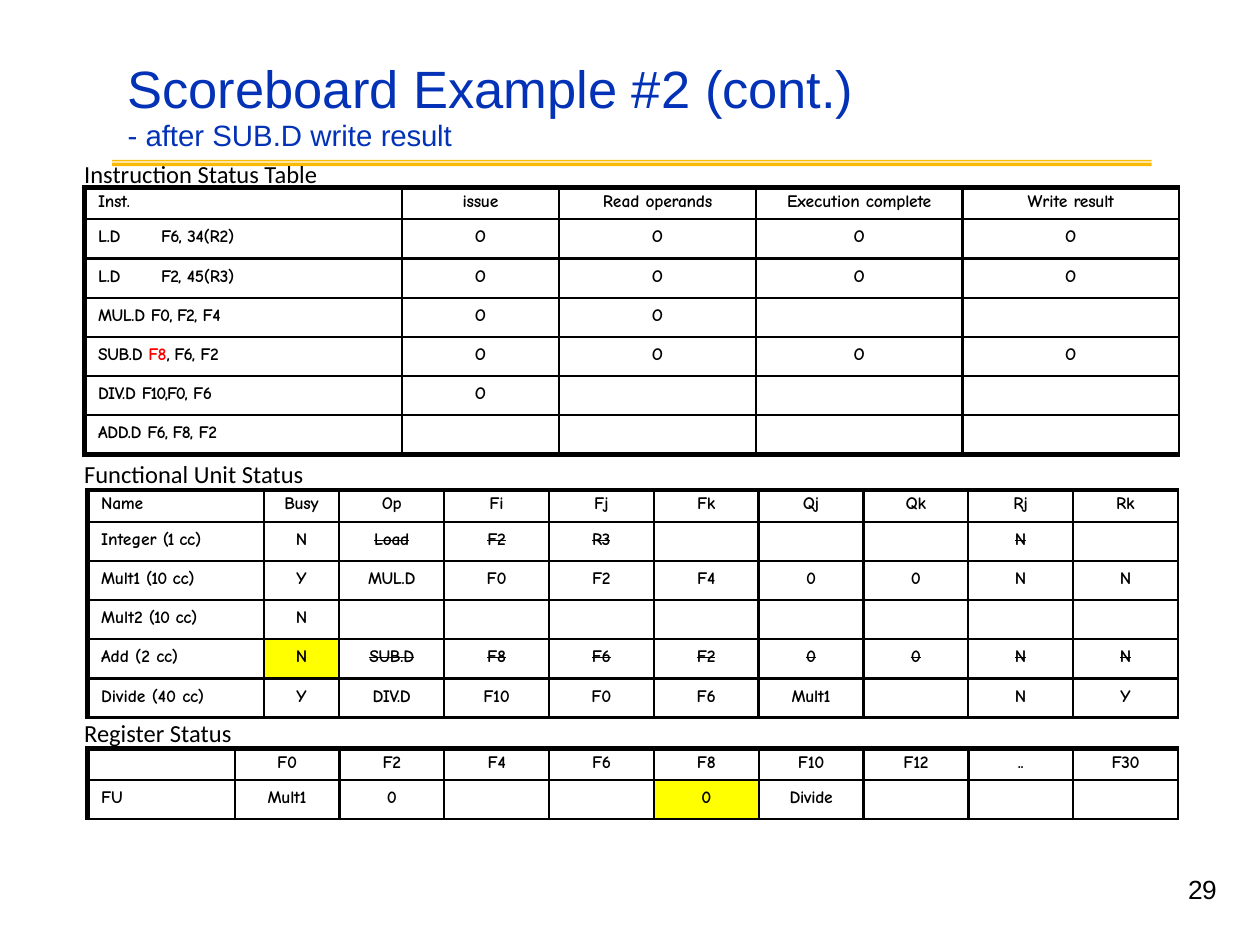
"""Build a slide with the three scoreboard tables after SUB.D writes its result."""
from lxml import etree
from pptx import Presentation, util as u
from pptx.dml.color import RGBColor
from pptx.enum import text as t
from pptx.oxml import ns

COLORS = {"ink": "000000", "title": "0332B7", "rule": "FBBA03", "mark": "FFFF00", "alert": "FF0000"}
THIN, THICK = 1.5, 3
HEADER_HEIGHT, ROW_HEIGHT = 18, 22.4
HEADER_INSET, ROW_INSET = 2.2, 4.5
UNIT_WIDTH = 59.9

TITLE = [
    ([("Scoreboard Example #2 ", 0), ("(cont.)", -0.1)], 30, 35.2),
    ([("- after SUB.D write ", 0), ("result", -0.1)], 16.8, 19.3),
]
LABELS = [
    ("Instruction Status Table", 87.1, 173),
    ("Functional Unit Status", 258.5, 153),
    ("Register Status", 406.8, 99),
]
RULE_BARS = [(92.9, 95), (91.4, 92.2)]
RULE_LEFT, RULE_RIGHT = 64, 658

TABLES = [
    {
        "left": 48.2, "top": 107.3, "bottom": THICK,
        "widths": [181.4, 90, 112.3, 118.1, 123.8],
        "rows": [
            ["Inst.", "issue", [("Read ", 0), ("operands", -0.1)],
             [("Execution ", 0), ("complete", -0.1)], [("Write ", 0), ("result", -0.1)]],
            [[("L.D\t", -0.2), ("F6, ", -0.5), ("34(R2)", -0.1)], "O", "O", "O", "O"],
            [[("L.D\t", -0.2), ("F2, ", -0.5), ("45(R3)", -0.1)], "O", "O", "O", "O"],
            [[("MUL.D ", -0.2), ("F0, F2, ", -0.5), ("F4", -0.2)], "O", "O", "", ""],
            [[("SUB.D ", -0.2), ("F8", -0.5, "alert"), (", F6, ", -0.5), ("F2", -0.2)],
             "O", "O", "O", "O"],
            [[("DIV.D ", -0.2), ("F10,F0, ", -0.7), ("F6", -0.2)], "O", "", "", ""],
            [[("ADD.D ", -0.2), ("F6, F8, ", -0.5), ("F2", -0.2)], "", "", "", ""],
        ],
    },
    {
        "left": 49.9, "top": 280.1, "bottom": THIN,
        "widths": [100.8, 43.2] + [UNIT_WIDTH] * 8,
        "rows": [
            ["Name", "Busy", "Op", "Fi", "Fj", "Fk", "Qj", "Qk", "Rj", "Rk"],
            [[("Integer ", 0), ("(1 ", -0.8), ("cc)", -0.2)],
             "N", "Load", "F2", "R3", "", "", "", "N", ""],
            [[("Mult1 ", -0.1), ("(10 ", -0.5), ("cc)", -0.2)],
             "Y", "MUL.D", "F0", "F2", "F4", "0", "0", "N", "N"],
            [[("Mult2 ", 0), ("(10 ", -0.5), ("cc)", -0.2)], "N", "", "", "", "", "", "", "", ""],
            [[("Add (2 ", 0), ("cc)", -0.2)],
             "N", "SUB.D", "F8", "F6", "F2", "0", "0", "N", "N"],
            [[("Divide (40 ", 0), ("cc)", -0.2)],
             "Y", "DIV.D", "F10", "F0", "F6", "Mult1", "", "N", "Y"],
        ],
        "marked": {(4, 1)},
        "struck": {(row, column) for row in (1, 4) for column in range(2, 10)},
    },
    {
        "left": 49.9, "top": 427.7, "bottom": THIN,
        "widths": [84.2] + [UNIT_WIDTH] * 9,
        "rows": [
            ["", "F0", "F2", "F4", "F6", "F8", "F10", "F12", "..", "F30"],
            ["FU", "Mult1", "0", "", "", "0", "Divide", "", "", ""],
        ],
        "marked": {(1, 5)},
    },
]


def write(para, spans, size, font, color="ink", bold=False, struck=False,
          spacing=0, indent=0, tab=None, align=t.PP_ALIGN.LEFT, line=None):
    """Fill a paragraph with a string or (text, spacing, color) spans."""
    properties = para._p.get_or_add_pPr()
    if indent:
        properties.set("marL", str(u.Pt(indent)))
        properties.set("indent", "0")
    if tab:
        tabs = etree.SubElement(properties, ns.qn("a:tabLst"))
        etree.SubElement(tabs, ns.qn("a:tab"), pos=str(u.Pt(tab)), algn="l")
    para.alignment = align
    if line:
        para.line_spacing = u.Pt(line)
    if not spans:
        etree.SubElement(para._p, ns.qn("a:endParaRPr"), sz=str(round(size * 100)))
        return
    if isinstance(spans, str):
        spans = [(spans, spacing)]
    for words, gap, *tint in spans:
        span = para.add_run()
        span.text = words
        span.font.size, span.font.name, span.font.bold = u.Pt(size), font, bold
        span.font.color.rgb = RGBColor.from_string(COLORS[tint[0] if tint else color])
        run_format = span.font._element
        run_format.set("spc", str(round(gap * 100)))
        if struck:
            run_format.set("strike", "sngStrike")


def add_box(page, left, top, width, height, inset=None):
    box = page.shapes.add_textbox(*map(u.Pt, (left, top, width, height)))
    frame = box.text_frame
    frame.word_wrap = True
    if inset is not None:
        frame.margin_left = frame.margin_right = frame.margin_bottom = 0
        frame.margin_top = u.Pt(inset)
    return frame


def set_borders(cell, **widths):
    properties = cell._tc.get_or_add_tcPr()
    for side in "LRTB":
        edge = etree.SubElement(properties, ns.qn("a:ln" + side), w=str(u.Pt(widths[side])))
        fill = etree.SubElement(edge, ns.qn("a:solidFill"))
        etree.SubElement(fill, ns.qn("a:srgbClr"), val=COLORS["ink"])


def add_grid(page, left, top, bottom, widths, rows, marked=(), struck=()):
    heights = [HEADER_HEIGHT] + [ROW_HEIGHT] * (len(rows) - 1)
    grid = page.shapes.add_table(
        len(rows), len(widths), *map(u.Pt, (left, top, sum(widths), sum(heights)))).table
    grid.first_row = grid.horz_banding = False
    for column, width in zip(grid.columns, widths):
        column.width = u.Pt(width)
    for r, (row, height) in enumerate(zip(rows, heights)):
        grid.rows[r].height = u.Pt(height)
        for c, content in enumerate(row):
            cell = grid.cell(r, c)
            cell.margin_left = cell.margin_right = cell.margin_bottom = 0
            cell.margin_top = u.Pt(ROW_INSET if r else HEADER_INSET)
            set_borders(cell, L=THIN if c else THICK, R=THIN, T=THIN if r else THICK,
                        B=bottom if r == len(rows) - 1 else THIN)
            if (r, c) in marked:
                cell.fill.solid()
                cell.fill.fore_color.rgb = RGBColor.from_string(COLORS["mark"])
            else:
                cell.fill.background()
            tabbed = any("\t" in part[0] for part in content if part)
            write(cell.text_frame.paragraphs[0], content, 10, "Comic Neue", bold=True,
                  struck=(r, c) in struck, spacing=-0.15, indent=0 if c else 7.9,
                  tab=36.7 if tabbed else None,
                  align=t.PP_ALIGN.CENTER if c else t.PP_ALIGN.LEFT)


def add_rule(page):
    builder = None
    for top, bottom in RULE_BARS:
        corners = [(u.Pt(x), u.Pt(y)) for x, y in (
            (RULE_RIGHT, top), (RULE_LEFT, top), (RULE_LEFT, bottom), (RULE_RIGHT, bottom))]
        if builder is None:
            builder = page.shapes.build_freeform(*corners[0], scale=1.0)
        else:
            builder.move_to(*corners[0])
        builder.add_line_segments(corners[1:], close=True)
    rule = builder.convert_to_shape()
    rule.shadow.inherit = False
    rule.fill.solid()
    rule.fill.fore_color.rgb = RGBColor.from_string(COLORS["rule"])
    rule.line.fill.background()


def main():
    deck = Presentation()
    deck.slide_width, deck.slide_height = u.Pt(720), u.Pt(540)
    page = deck.slides.add_slide(deck.slide_layouts[6])
    add_rule(page)
    for table in TABLES:
        add_grid(page, **table)
    heading = add_box(page, 72, 31.7, 555, 55.4, inset=0.9)
    for index, (spans, size, line) in enumerate(TITLE):
        para = heading.add_paragraph() if index else heading.paragraphs[0]
        write(para, spans, size, "Arial", color="title", indent=0.9, line=line)
    number = add_box(page, 668.2, 499.7, 36, 34.6, inset=0)
    write(number.paragraphs[0], "29", 15, "Arial", spacing=-0.4, indent=10.8, line=17.5)
    for words, top, width in LABELS:
        label = add_box(page, 41, top, width, 24.5)
        write(label.paragraphs[0], words, 14, "Calibri")
    deck.save("out.pptx")


if __name__ == "__main__":
    main()
